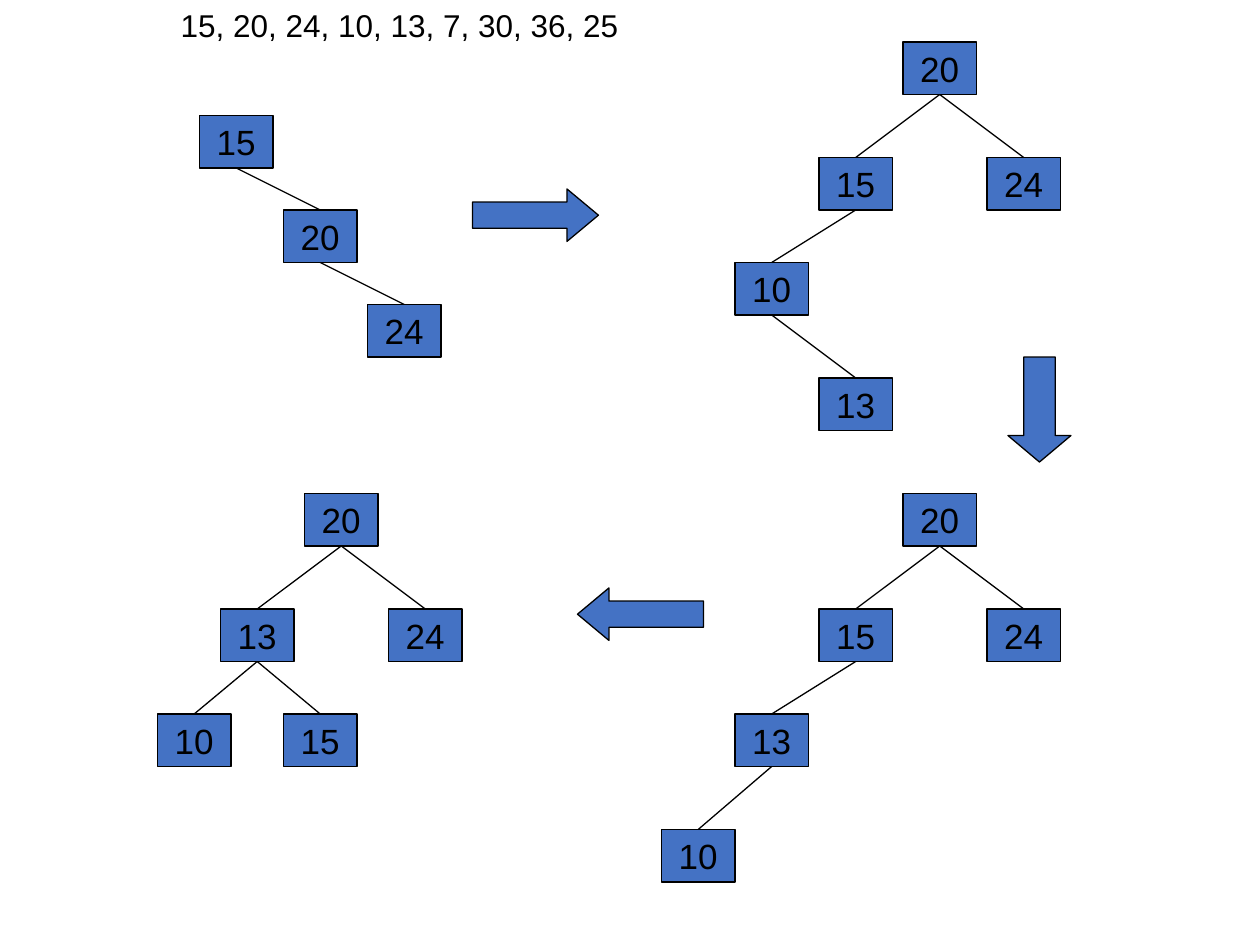
from lxml.etree import SubElement
from pptx import Presentation
from pptx.dml.color import RGBColor
from pptx.enum.shapes import MSO_CONNECTOR, MSO_SHAPE
from pptx.enum.text import MSO_ANCHOR, MSO_AUTO_SIZE, PP_ALIGN
from pptx.oxml.ns import qn
from pptx.util import Pt

BLUE = RGBColor(0x44, 0x72, 0xC4)
BLACK = RGBColor(0, 0, 0)
FONT = "Arial"
LINE_WIDTH = 0.75
NODE_WIDTH, NODE_HEIGHT = 42, 30
BOTTOM, TOP = 2, 0  # connection sites of a rectangle
COLUMN = 48  # horizontal step between parent and child
ROWS = (0, 66, 126, 192)  # tops of the levels in a tree
CHAIN_STEP = 54  # vertical step in the first, unbalanced tree

# Each tree: box left and top, then nodes as (value, left, top, parent index)
TREES = [
    (114, 66, [
        (value, level * COLUMN, level * CHAIN_STEP, level - 1 if level else None)
        for level, value in enumerate((15, 20, 24))
    ]),
    (420, 24, [
        (20, 2 * COLUMN, ROWS[0], None),
        (15, COLUMN, ROWS[1], 0),
        (24, 3 * COLUMN, ROWS[1], 0),
        (10, 0, ROWS[2], 1),
        (13, COLUMN, ROWS[3], 3),
    ]),
    (378, 282, [
        (20, 42 + 2 * COLUMN, ROWS[0], None),
        (15, 42 + COLUMN, ROWS[1], 0),
        (24, 42 + 3 * COLUMN, ROWS[1], 0),
        (13, 42, ROWS[2], 1),
        (10, 0, ROWS[3], 3),
    ]),
    (90, 282, [
        (20, 36 + COLUMN, ROWS[0], None),
        (13, 36, ROWS[1], 0),
        (24, 36 + 2 * COLUMN, ROWS[1], 0),
        (10, 0, ROWS[2], 1),
        (15, 72, ROWS[2], 1),
    ]),
]

# Each arrow: preset, left, top, width, height, length of the head
ARROWS = [
    (MSO_SHAPE.RIGHT_ARROW, 270, 108, 72, 30, 0.6),
    (MSO_SHAPE.DOWN_ARROW, 576, 204, 36, 60, 0.42),
    (MSO_SHAPE.LEFT_ARROW, 330, 336, 72, 30, 0.6),
]


def write_text(shape, text, size, align, anchor, wrap=True, left_margin=7.2):
    frame = shape.text_frame
    frame.auto_size = MSO_AUTO_SIZE.NONE
    frame.word_wrap = wrap
    frame.vertical_anchor = anchor
    frame.margin_left, frame.margin_right = Pt(left_margin), Pt(7.2)
    frame.margin_top = frame.margin_bottom = Pt(3.6)
    paragraph = frame.paragraphs[0]
    paragraph.alignment = align
    paragraph.space_before = Pt(0)
    run = paragraph.add_run()
    run.text = text
    run.font.name = FONT
    run.font.size = Pt(size)
    run.font.color.rgb = BLACK


def add_filled_shape(slide, preset, left, top, width, height):
    shape = slide.shapes.add_shape(preset, Pt(left), Pt(top), Pt(width), Pt(height))
    shape.shadow.inherit = False
    shape.fill.solid()
    shape.fill.fore_color.rgb = BLUE
    shape.line.color.rgb = BLACK
    shape.line.width = Pt(LINE_WIDTH)
    return shape


def add_edge(slide, parent, child):
    connector = slide.shapes.add_connector(MSO_CONNECTOR.STRAIGHT, 0, 0, 0, 0)
    connector.begin_connect(parent, BOTTOM)
    connector.end_connect(child, TOP)
    connector.line.color.rgb = BLACK
    connector.line.width = Pt(LINE_WIDTH)
    SubElement(connector._element.spPr, qn("a:effectLst"))


def add_heading(slide, left, top, width, height):
    title = slide.shapes.title
    title.left, title.top, title.width, title.height = (
        Pt(length) for length in (left, top, width, height))
    write_text(title, "15, 20, 24, 10, 13, 7, 30, 36, 25", size=18,
               align=PP_ALIGN.LEFT, anchor=MSO_ANCHOR.TOP, left_margin=43.2)


def add_tree(slide, left, top, nodes):
    boxes = []
    for value, node_left, node_top, parent in nodes:
        box = add_filled_shape(slide, MSO_SHAPE.RECTANGLE, left + node_left,
                               top + node_top, NODE_WIDTH, NODE_HEIGHT)
        write_text(box, str(value), size=20, align=PP_ALIGN.CENTER,
                   anchor=MSO_ANCHOR.MIDDLE, wrap=False)
        boxes.append(box)
        if parent is not None:
            add_edge(slide, boxes[parent], box)


def add_arrow(slide, preset, left, top, width, height, head_length):
    arrow = add_filled_shape(slide, preset, left, top, width, height)
    arrow.adjustments[0] = 0.5
    arrow.adjustments[1] = head_length


def main():
    presentation = Presentation()
    presentation.slide_width, presentation.slide_height = Pt(720), Pt(540)
    slide = presentation.slides.add_slide(presentation.slide_layouts[5])

    # Values to insert
    add_heading(slide, 60, 0, 588, 28.8)

    # Stages of the search tree
    for left, top, nodes in TREES:
        add_tree(slide, left, top, nodes)

    # Order of the stages
    for arrow in ARROWS:
        add_arrow(slide, *arrow)

    presentation.save("out.pptx")


if __name__ == "__main__":
    main()
